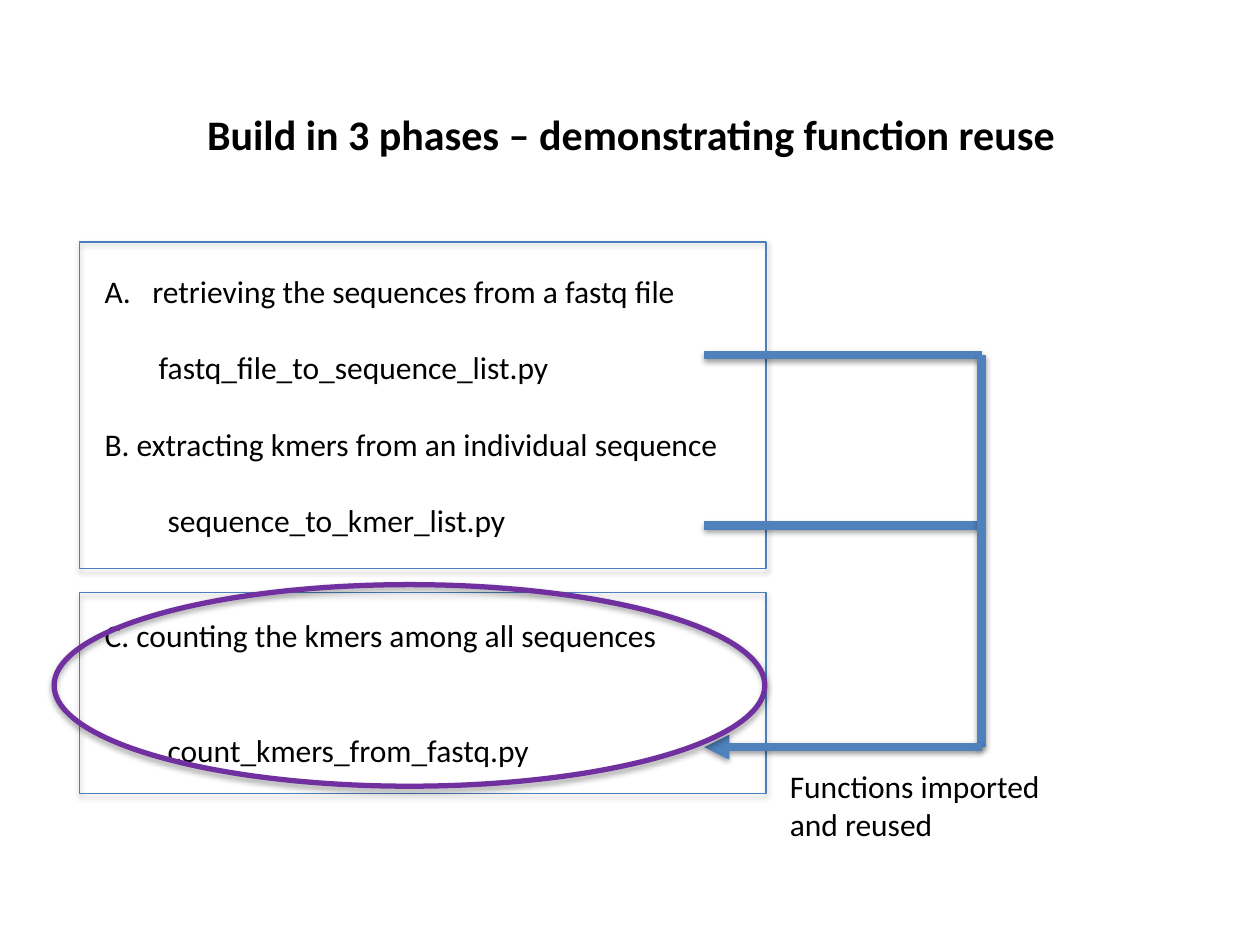
"""Build a slide on three coding phases that reuse functions."""
from lxml import etree
from pptx import Presentation, util as u
from pptx.dml.color import RGBColor
from pptx.enum import shapes, text
from pptx.oxml.ns import qn

COLORS = {"text": "000000", "box": "4B7EBC", "flow": "4F81BD", "focus": "7030A0"}
COLS, ROWS = 100, 75
CELL = u.Inches(0.1)
BODY = {"name": "Calibri", "size": u.Pt(18), "bold": False}
HEADING = {**BODY, "size": u.Pt(24), "bold": True}
FRAME = {"margin_left": u.Inches(0.1), "margin_right": u.Inches(0.1),
         "margin_top": u.Inches(0.05), "margin_bottom": u.Inches(0.05),
         "auto_size": text.MSO_AUTO_SIZE.NONE, "word_wrap": True,
         "vertical_anchor": text.MSO_ANCHOR.TOP}
BLANK_LINE = 22
PHASES = [
    ("retrieving the sequences from a fastq file", 0, 0.38, "A"),
    ("fastq_file_to_sequence_list.py", 1, 0.43, None),
    ("B. extracting kmers from an individual sequence", 1, 0, None),
    ("sequence_to_kmer_list.py", 1, 0.5, None),
    ("C. counting the kmers among all sequences", 2, 0, None),
    ("count_kmers_from_fastq.py", 2, 0.5, None),
]


def cells(*values):
    """Turn grid counts into lengths."""
    return [u.Emu(round(v * CELL)) for v in values]


def apply(target, values):
    """Set each attribute of a target from a dict."""
    for name, value in values.items():
        setattr(target, name, value)


def rgb(name):
    """Look up a named colour."""
    return RGBColor.from_string(COLORS[name])


def place(sp, box):
    """Move a shape into a grid box."""
    apply(sp, dict(zip(("left", "top", "width", "height"), cells(*box))))


def style(p, font):
    """Format the font of a paragraph."""
    apply(p.font, font)
    p.font.color.rgb = rgb("text")


def child(parent, tag, **attrs):
    """Append a drawing element with attributes."""
    return etree.SubElement(parent, qn(tag), {k: str(v) for k, v in attrs.items()})


def add_shadow(effects, alpha, dist):
    """Put a soft downward shadow in an effect list."""
    shadow = child(effects, "a:outerShdw", blurRad=40000, dist=dist,
                   dir=5400000, rotWithShape=0)
    child(child(shadow, "a:srgbClr", val="000000"), "a:alpha", val=alpha * 1000)


def add_outline(s, kind, box, color, width):
    """Draw an unfilled shape with a shadow."""
    sp = s.shapes.add_shape(kind, *cells(*box))
    sp.fill.background()
    sp.line.color.rgb = rgb(color)
    sp.line.width = u.Pt(width)
    sp.shadow.inherit = False
    add_shadow(sp._element.spPr.find(qn("a:effectLst")), 35, 23000)


def add_title(s, box):
    """Fill the title placeholder."""
    sp = s.shapes.title
    place(sp, box)
    tf = sp.text_frame
    apply(tf, FRAME)
    p = tf.paragraphs[0]
    p.text = "Build in 3 phases – demonstrating function reuse"
    p.alignment = text.PP_ALIGN.CENTER
    style(p, HEADING)


def add_phases(s, box):
    """List the phases and their scripts in the body placeholder."""
    sp = s.placeholders[1]
    place(sp, box)
    tf = sp.text_frame
    apply(tf, FRAME)
    for i, (words, gap, indent, number) in enumerate(PHASES):
        p = tf.add_paragraph() if i else tf.paragraphs[0]
        p.text = words
        apply(p, {"space_before": u.Pt(gap * BLANK_LINE), "line_spacing": 1.0})
        pPr = p._p.get_or_add_pPr()
        pPr.set("marL", str(u.Inches(indent)))
        pPr.set("indent", str(-u.Inches(indent) if number else 0))
        if number:
            child(pPr, "a:buFont", typeface="+mj-lt")
            child(pPr, "a:buAutoNum", type="alphaUcPeriod")
        else:
            child(pPr, "a:buNone")
        style(p, BODY)


def add_flow(s, box):
    """Join two scripts to the third by a bracket with an arrow."""
    x, y, w, h = box
    right, bottom, middle = x + w, y + h, y + 13.5
    group = s.shapes.add_group_shape()
    for ends in ((x, y, right, y), (x, middle, right, middle),
                 (right, y, right, bottom), (x, bottom, right, bottom)):
        line = group.shapes.add_connector(shapes.MSO_CONNECTOR.STRAIGHT, *cells(*ends))
        line.line.color.rgb = rgb("flow")
        line.line.width = u.Pt(4.75)
        if ends[1] == bottom:
            child(line.line._get_or_add_ln(), "a:headEnd", type="triangle")
        add_shadow(child(line._element.spPr, "a:effectLst"), 38, 20000)


def add_caption(s, box):
    """Write the note below the arrow."""
    tf = s.shapes.add_textbox(*cells(*box)).text_frame
    apply(tf, FRAME)
    p = tf.paragraphs[0]
    p.text = "Functions imported and reused"
    style(p, BODY)


def main():
    """Build and save the slide."""
    prs = Presentation()
    prs.slide_width, prs.slide_height = cells(COLS, ROWS)
    s = prs.slides.add_slide(prs.slide_layouts[1])
    add_title(s, (15.1, 8.1, 70, 5))
    add_phases(s, (7.3, 21.1, 52, 40.4))
    for top, height in ((19.2, 25.9), (47, 16)):
        add_outline(s, shapes.MSO_SHAPE.RECTANGLE, (6.3, top, 54.5, height), "box", 0.75)
    add_flow(s, (55.9, 28.2, 22, 31.1))
    add_caption(s, (61.7, 60.4, 22, 7.1))
    add_outline(s, shapes.MSO_SHAPE.OVAL, (4.3, 46.4, 56.4, 16), "focus", 3)
    prs.save("out.pptx")


if __name__ == "__main__":
    main()
